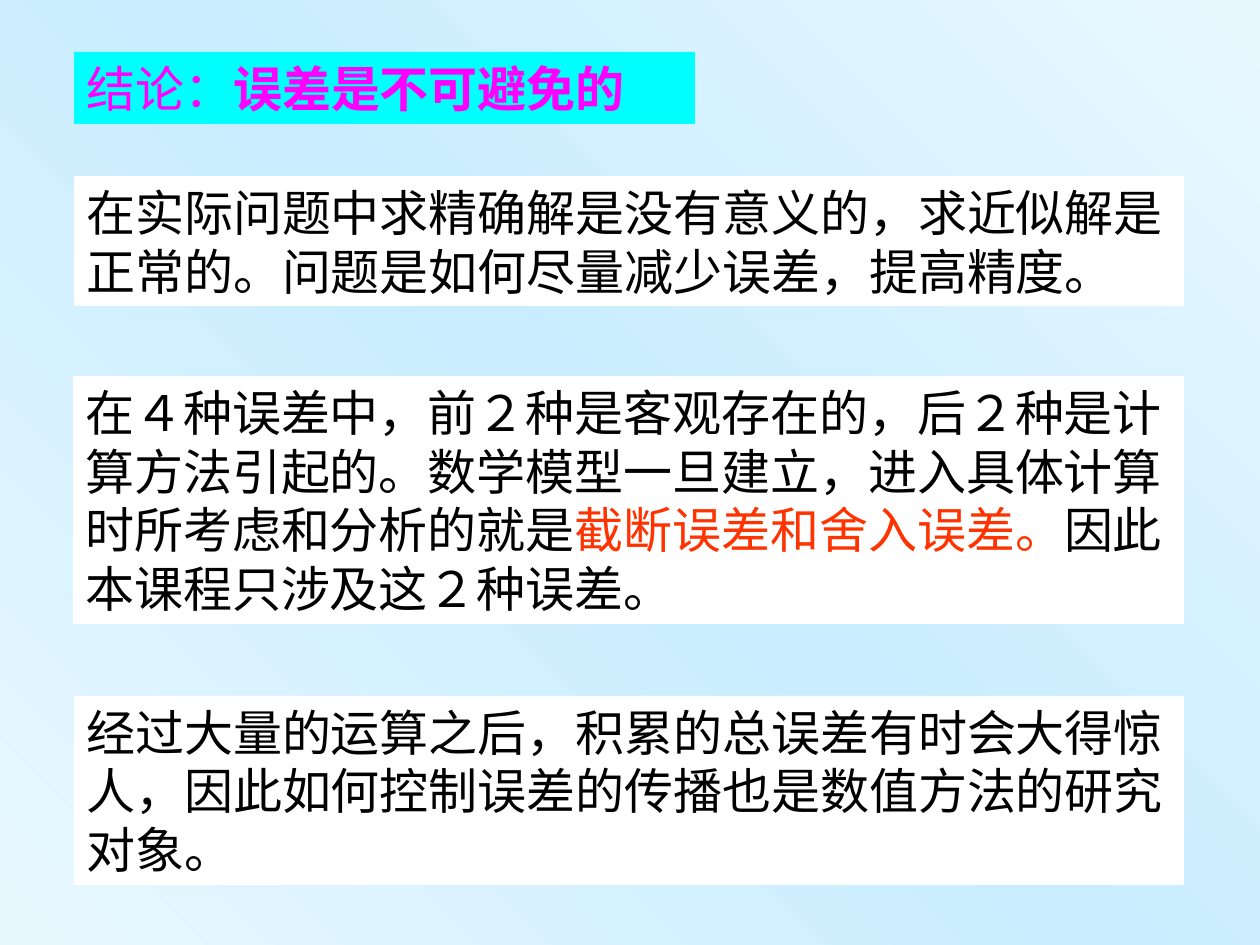
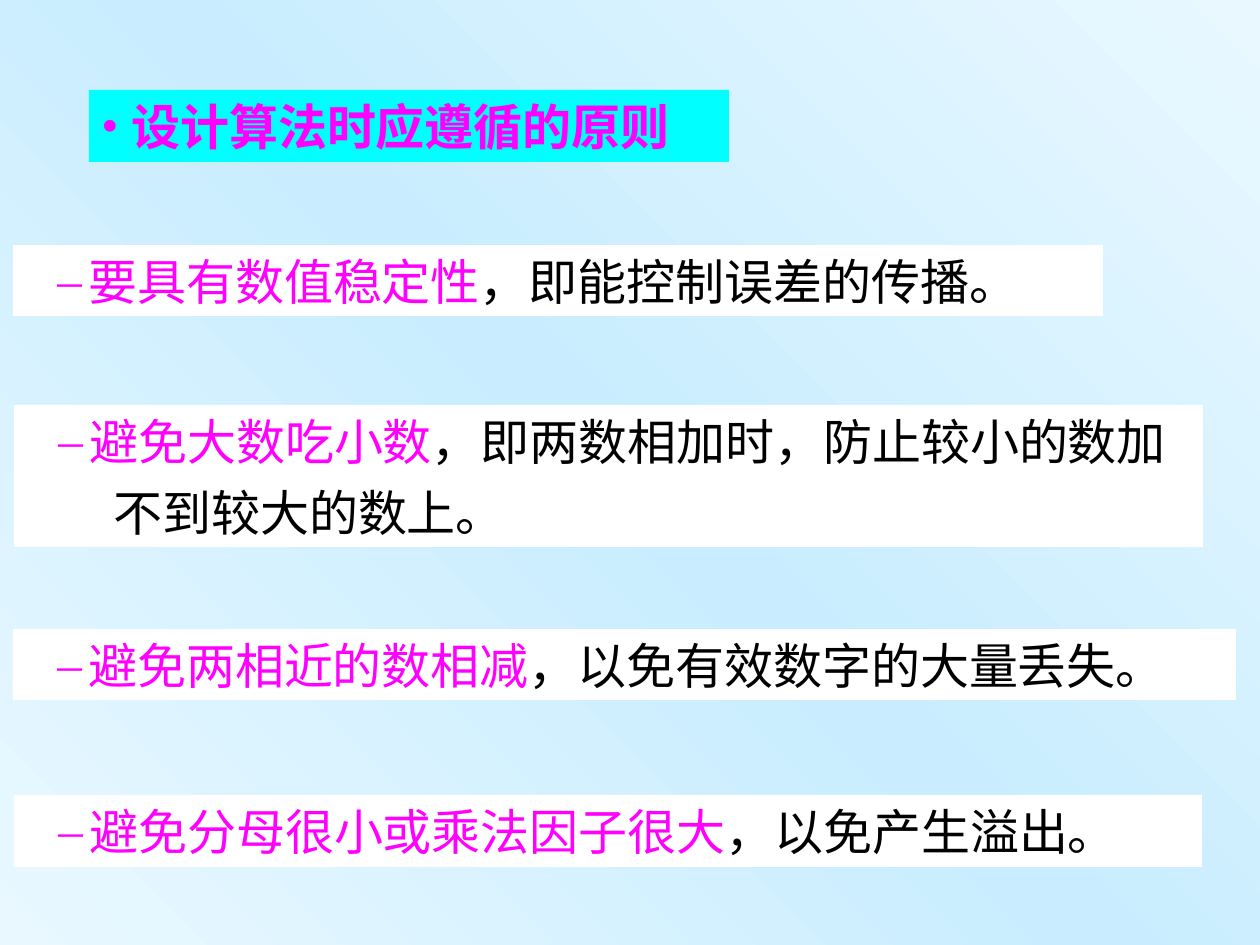
from copy import deepcopy

from lxml.etree import SubElement
from pptx import Presentation
from pptx.dml.color import RGBColor
from pptx.enum.shapes import MSO_SHAPE
from pptx.enum.text import MSO_ANCHOR, PP_ALIGN
from pptx.oxml.ns import qn
from pptx.util import Emu, Pt

CYAN, WHITE, BLACK = "00FFFF", "FFFFFF", "000000"
MAGENTA, ORANGE = "FF00FF", "FF3300"
BACKGROUND = [(0, "E9F8FF"), (0.5, "C9EDFF"), (1, "E9F8FF")]
FONT, SIZE = "Times New Roman", 28

# Paragraph layouts: left margin and first-line indent in px, bullet character
PLAIN = dict(margin=0, indent=0, bullet=None)
DOT = dict(margin=30, indent=-30, bullet="•")
DASH = dict(margin=63, indent=-31, bullet="–")
DASH_NEXT = dict(margin=87, indent=0, bullet=None)

# Each box: (left, top, width, height), fill, paragraphs
# Each paragraph: layout, runs of (text, colour, bold)
CONCLUSION = [
    ((74, 52, 621, 72), CYAN, [
        (PLAIN, [("结论：", MAGENTA, False), ("误差是不可避免的", MAGENTA, True)])]),
    ((74, 176, 1110, 130), WHITE, [
        (PLAIN, [("在实际问题中求精确解是没有意义的，求近似解是正常的。"
                  "问题是如何尽量减少误差，提高精度。", BLACK, False)])]),
    ((73, 376, 1111, 248), WHITE, [
        (PLAIN, [("在４种误差中，前２种是客观存在的，后２种是计算方法引起的。"
                  "数学模型一旦建立，进入具体计算时所考虑和分析的就是", BLACK, False),
                 ("截断误差和舍入误差。", ORANGE, False),
                 ("因此本课程只涉及这２种误差。", BLACK, False)])]),
    ((74, 696, 1110, 189), WHITE, [
        (PLAIN, [("经过大量的运算之后，积累的总误差有时会大得惊", BLACK, False)]),
        (PLAIN, [("人，因此如何控制误差的传播也是数值方法的研究", BLACK, False)]),
        (PLAIN, [("对象。", BLACK, False)])]),
]


def principle(rule, reason):
    return DASH, [(rule, MAGENTA, False), (reason, BLACK, False)]


PRINCIPLES = [
    ((89, 90, 640, 72), CYAN, [
        (DOT, [("设计算法时应遵循的原则", MAGENTA, True)])]),
    ((13, 245, 1090, 71), WHITE, [
        principle("要具有数值稳定性", "，即能控制误差的传播。")]),
    ((14, 405, 1189, 142), WHITE, [
        principle("避免大数吃小数", "，即两数相加时，防止较小的数加"),
        (DASH_NEXT, [("不到较大的数上。", BLACK, False)])]),
    ((13, 629, 1223, 71), WHITE, [
        principle("避免两相近的数相减", "，以免有效数字的大量丢失。")]),
    ((14, 795, 1188, 72), WHITE, [
        principle("避免分母很小或乘法因子很大", "，以免产生溢出。")]),
]
SLIDES = [(CONCLUSION, 0), (PRINCIPLES, 7)]  # boxes, points between paragraphs


def px(n):
    return Emu(round(n * 914400 / 126))


def rgb(value):
    return RGBColor.from_string(value)


def paint_background(master):
    fill = master.background.fill
    fill.gradient()
    fill.gradient_angle = 45
    stops = next(master.element.iter(qn("a:gsLst")))
    stops.append(deepcopy(stops[0]))
    for stop, (position, color) in zip(fill.gradient_stops, BACKGROUND):
        stop.position = position
        stop.color.rgb = rgb(color)


def lay_out(p, margin, indent, bullet):
    """Set the indents and the bullet of a paragraph."""
    pPr = p._p.get_or_add_pPr()
    pPr.set("marL", str(px(margin)))
    pPr.set("indent", str(px(indent)))
    if bullet:
        color = SubElement(pPr, qn("a:buClr"))
        SubElement(color, qn("a:srgbClr"), val=MAGENTA)
        SubElement(pPr, qn("a:buFont"), typeface=FONT)
        SubElement(pPr, qn("a:buChar"), char=bullet)
    else:
        SubElement(pPr, qn("a:buNone"))


def add_run(p, text, color, bold):
    r = p.add_run()
    r.text = text
    r.font.name, r.font.size, r.font.bold = FONT, Pt(SIZE), bold
    r.font.color.rgb = rgb(color)


def add_box(slide, place, fill, paragraphs, gap):
    sp = slide.shapes.add_shape(MSO_SHAPE.RECTANGLE, *map(px, place))
    sp.shadow.inherit = False
    sp.fill.solid()
    sp.fill.fore_color.rgb = rgb(fill)
    sp.line.fill.background()
    tf = sp.text_frame
    tf.word_wrap = True
    tf.vertical_anchor = MSO_ANCHOR.TOP
    for i, (layout, runs) in enumerate(paragraphs):
        p = tf.add_paragraph() if i else tf.paragraphs[0]
        lay_out(p, **layout)
        p.alignment = PP_ALIGN.LEFT
        if i and gap:
            p.space_before = Pt(gap)
        for run in runs:
            add_run(p, *run)


def main():
    prs = Presentation()
    prs.slide_width, prs.slide_height = px(1260), px(945)
    paint_background(prs.slide_master)
    for boxes, gap in SLIDES:
        slide = prs.slides.add_slide(prs.slide_layouts[6])
        for place, fill, paragraphs in boxes:
            add_box(slide, place, fill, paragraphs, gap)
    prs.save("out.pptx")


if __name__ == "__main__":
    main()
